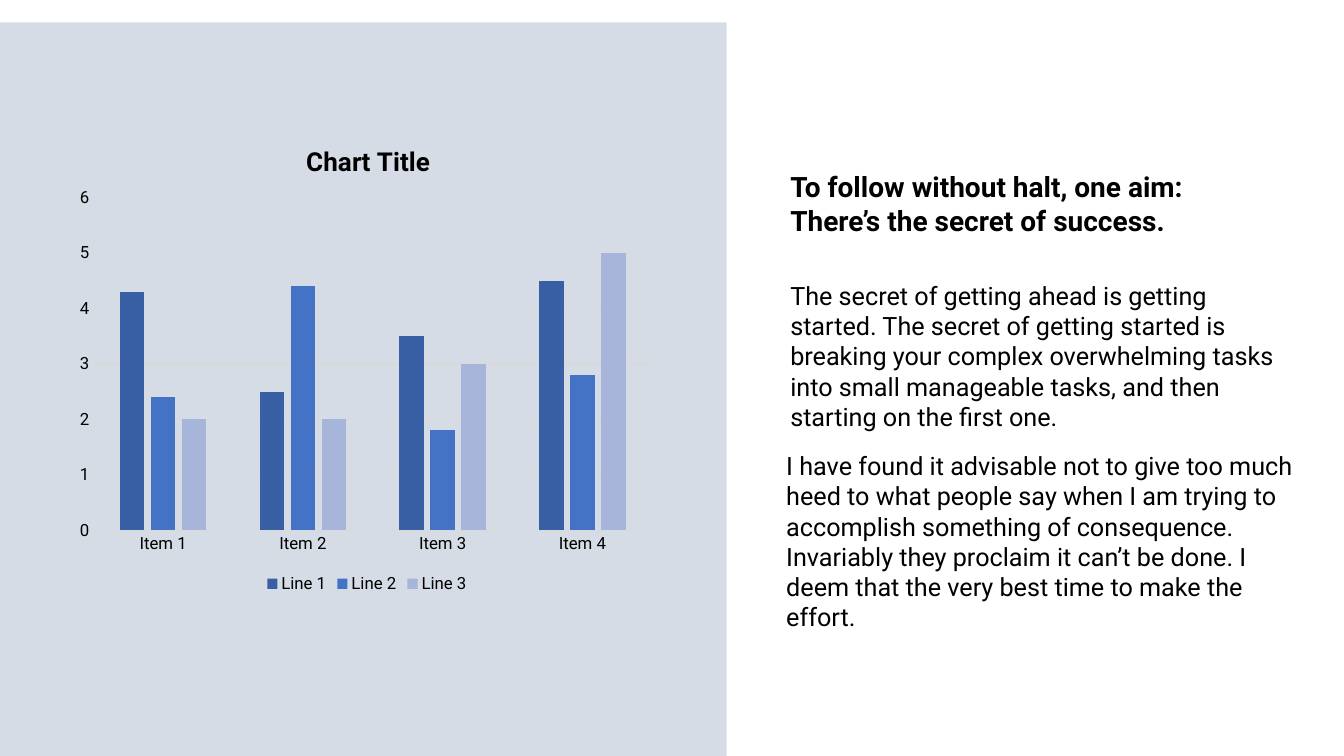
from dataclasses import dataclass

from lxml.etree import SubElement
from pptx import Presentation
from pptx.chart.axis import CategoryAxis, ValueAxis
from pptx.chart.chart import Chart
from pptx.chart.data import CategoryChartData
from pptx.dml.color import RGBColor
from pptx.dml.line import LineFormat
from pptx.enum.chart import XL_CHART_TYPE, XL_LEGEND_POSITION, XL_TICK_MARK
from pptx.enum.shapes import MSO_SHAPE
from pptx.enum.text import MSO_ANCHOR, MSO_AUTO_SIZE, PP_ALIGN
from pptx.oxml import parse_xml
from pptx.oxml.ns import nsdecls, qn
from pptx.slide import Slide
from pptx.text.text import Font
from pptx.util import Pt

FONT = "Roboto"
BLACK = "000000"
PANEL = "D6DCE5"
GRID = "D9D9D9"
TWO_CONTENT_LAYOUT = 3


@dataclass
class TextBlock:
    """Text for one placeholder, with its place in points."""
    placeholder: int
    left: float
    top: float
    width: float
    height: float
    size: float
    bold: bool
    text: str


@dataclass
class Series:
    """One set of columns in the chart."""
    name: str
    color: str
    values: tuple[float, ...]


TEXT_BLOCKS = [
    TextBlock(0, 557.3, 117.4, 296, 55.4, 20, True,
              "To follow without halt, one aim: There’s the secret of success."),
    TextBlock(1, 557.3, 196.6, 377.3, 116.6, 18, False,
              "The secret of getting ahead is getting started. The secret of "
              "getting started is breaking your complex overwhelming tasks into "
              "small manageable tasks, and then starting on the first one."),
    TextBlock(2, 554.4, 318.2, 377.3, 116.6, 18, False,
              "I have found it advisable not to give too much heed to what people "
              "say when I am trying to accomplish something of consequence. "
              "Invariably they proclaim it can’t be done. I deem that the very "
              "best time to make the effort."),
]

CATEGORIES = [f"Item {number}" for number in range(1, 5)]
SERIES = [
    Series("Line 1", "385FA3", (4.3, 2.5, 3.5, 4.5)),
    Series("Line 2", "4472C4", (2.4, 4.4, 1.8, 2.8)),
    Series("Line 3", "A8B5DB", (2, 2, 3, 5)),
]


def rgb(color: str) -> RGBColor:
    """Turn a hex string into a colour."""
    return RGBColor.from_string(color)


def style_font(font: Font, size: float, bold: bool = False) -> None:
    """Set typeface, size, weight and black colour."""
    font.name = FONT
    font.size = Pt(size)
    font.bold = bold
    font.color.rgb = rgb(BLACK)


def style_line(line: LineFormat) -> None:
    """Draw a thin grey line."""
    line.color.rgb = rgb(GRID)
    line.width = Pt(0.75)


def add_panel(slide: Slide) -> None:
    """Add the plain panel behind the chart."""
    shape = slide.shapes.add_shape(
        MSO_SHAPE.RECTANGLE, Pt(0), Pt(16), Pt(519), Pt(524))
    shape.shadow.inherit = False
    shape.fill.solid()
    shape.fill.fore_color.rgb = rgb(PANEL)
    shape.line.fill.background()


def fill_placeholder(slide: Slide, block: TextBlock) -> None:
    """Move a placeholder and write its unbulleted text."""
    shape = slide.placeholders[block.placeholder]
    shape.left, shape.top = Pt(block.left), Pt(block.top)
    shape.width, shape.height = Pt(block.width), Pt(block.height)
    frame = shape.text_frame
    frame.word_wrap = True
    frame.auto_size = MSO_AUTO_SIZE.NONE
    frame.vertical_anchor = MSO_ANCHOR.TOP
    paragraph = frame.paragraphs[0]
    paragraph.alignment = PP_ALIGN.LEFT
    paragraph.space_before = Pt(0)
    properties = paragraph._p.get_or_add_pPr()
    properties.set("marL", "0")
    properties.set("indent", "0")
    SubElement(properties, qn("a:buNone"))
    run = paragraph.add_run()
    run.text = block.text
    style_font(run.font, block.size, block.bold)


def place_in_chart(element, position: int, **fractions: float) -> None:
    """Fix a chart part at fractions of the chart's size."""
    for layout in element.findall(qn("c:layout")):
        element.remove(layout)
    values = "".join(f'<c:{key} val="{value}"/>' for key, value in fractions.items())
    target = '<c:layoutTarget val="inner"/>' if "w" in fractions else ""
    element.insert(position, parse_xml(
        f'<c:layout {nsdecls("c")}><c:manualLayout>{target}'
        f'<c:xMode val="edge"/><c:yMode val="edge"/>{values}'
        '</c:manualLayout></c:layout>'))


def style_axis(axis: CategoryAxis | ValueAxis) -> None:
    """Remove tick marks and format the labels."""
    axis.major_tick_mark = XL_TICK_MARK.NONE
    axis.minor_tick_mark = XL_TICK_MARK.NONE
    style_font(axis.tick_labels.font, 12)


def style_axes(chart: Chart) -> None:
    """Format both axes and the gridlines."""
    style_axis(chart.category_axis)
    style_line(chart.category_axis.format.line)
    value_axis = chart.value_axis
    style_axis(value_axis)
    value_axis.minimum_scale, value_axis.maximum_scale = 0, 6
    value_axis.major_unit = 1
    value_axis.format.line.fill.background()
    value_axis.has_major_gridlines = True
    style_line(value_axis.major_gridlines.format.line)


def add_column_chart(slide: Slide) -> None:
    """Add the clustered columns with title and legend."""
    data = CategoryChartData()
    data.categories = CATEGORIES
    for series in SERIES:
        data.add_series(series.name, series.values)
    chart = slide.shapes.add_chart(
        XL_CHART_TYPE.COLUMN_CLUSTERED,
        Pt(49.7), Pt(82.8), Pt(424.8), Pt(344.2), data).chart
    style_font(chart.font, 10)

    chart.has_title = True
    run = chart.chart_title.text_frame.paragraphs[0].add_run()
    run.text = "Chart Title"
    style_font(run.font, 18.6, bold=True)
    chart.chart_title.include_in_layout = False
    place_in_chart(chart.chart_title._element, 1, x=0.39, y=0.05)

    chart.has_legend = True
    chart.legend.position = XL_LEGEND_POSITION.BOTTOM
    chart.legend.include_in_layout = False
    style_font(chart.legend.font, 12)

    style_axes(chart)
    plot = chart.plots[0]
    plot.gap_width, plot.overlap = 219, -27
    plot.vary_by_categories = False
    for drawn, series in zip(plot.series, SERIES):
        drawn.format.fill.solid()
        drawn.format.fill.fore_color.rgb = rgb(series.color)
    plot_area = chart._chartSpace.chart.plotArea
    place_in_chart(plot_area, 0, x=0.04, y=0.17, w=0.94, h=0.69)


def main() -> None:
    """Build and save the presentation."""
    presentation = Presentation()
    presentation.slide_width, presentation.slide_height = Pt(960), Pt(540)
    layout = presentation.slide_layouts[TWO_CONTENT_LAYOUT]
    slide = presentation.slides.add_slide(layout)
    add_panel(slide)
    add_column_chart(slide)
    for block in TEXT_BLOCKS:
        fill_placeholder(slide, block)
    presentation.save("out.pptx")


main()
